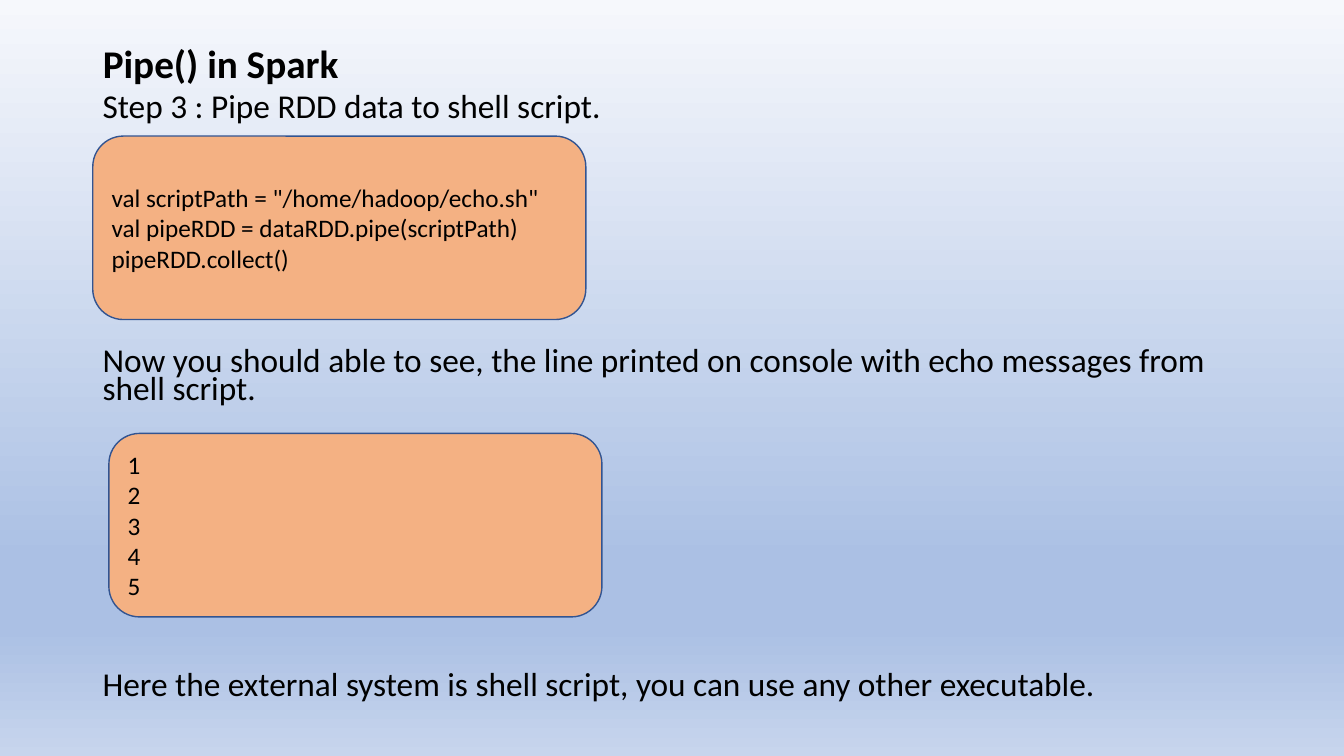
from pptx import Presentation
from pptx.dml.color import RGBColor
from pptx.enum.shapes import MSO_SHAPE
from pptx.enum.text import MSO_ANCHOR, PP_ALIGN
from pptx.oxml.ns import qn
from pptx.util import Inches, Pt
from lxml.etree import SubElement

# Content
TITLE = "Pipe() in Spark"
# text, space before in points
BODY = [
    ("Step 3 : Pipe RDD data to shell script.", 0),
    ("Now you should able to see, the line printed on console "
     "with echo messages from shell script.", 161.6),
    ("Here the external system is shell script, "
     "you can use any other executable.", 191.9),
]
# left, top, lines
PANELS = [
    (0.92, 1.35, ['val scriptPath = "/home/hadoop/echo.sh"',
                  "val pipeRDD = dataRDD.pipe(scriptPath)",
                  "pipeRDD.collect()"]),
    (1.08, 4.3, ["1", "2", "3", "4", "5"]),
]
# percent, colour
STOPS = [(0, "F6F8FC"), (74, "ABC0E4"), (83, "ABC0E4"), (100, "C7D5ED")]


def color(code):
    return RGBColor.from_string(code)


def style(para, size, bold=False):
    para.alignment = PP_ALIGN.LEFT
    font = para.font
    font.name, font.size, font.bold = "Calibri", Pt(size), bold
    font.color.rgb = color("000000")


deck = Presentation()
deck.slide_width, deck.slide_height = Inches(13.33), Inches(7.5)
slide = deck.slides.add_slide(deck.slide_layouts[5])

# Background gradient, top to bottom
fill = slide.background.fill
fill.gradient()
fill.gradient_angle = 270
stops = next(slide.element.iter(qn("a:gsLst")))
for old in list(stops):
    stops.remove(old)
for pct, code in STOPS:
    stop = SubElement(stops, qn("a:gs"), pos=str(pct * 1000))
    SubElement(stop, qn("a:srgbClr"), val=code)

# Title
title = slide.shapes.title
title.left, title.top = Inches(0.92), Inches(0.4)
title.width, title.height = Inches(11.5), Inches(0.5)
title.text_frame.text = TITLE
title.text_frame.vertical_anchor = MSO_ANCHOR.MIDDLE
para = title.text_frame.paragraphs[0]
style(para, 28, True)
para.line_spacing = 0.9

# Body text
body = slide.shapes.add_textbox(
    Inches(0.92), Inches(0.9), Inches(11.5), Inches(6.34)).text_frame
body.word_wrap = True
body.text = "\n".join(text for text, gap in BODY)
for para, (text, gap) in zip(body.paragraphs, BODY):
    style(para, 23.8)
    para.line_spacing = 0.7
    if gap:
        para.space_before = Pt(gap)

# Code and output panels
for left, top, lines in PANELS:
    panel = slide.shapes.add_shape(
        MSO_SHAPE.ROUNDED_RECTANGLE,
        Inches(left), Inches(top), Inches(4.89), Inches(1.82))
    panel.shadow.inherit = False
    panel.fill.solid()
    panel.fill.fore_color.rgb = color("F4B183")
    panel.line.color.rgb = color("325491")
    panel.line.width = Pt(1)
    frame = panel.text_frame
    frame.word_wrap = True
    frame.vertical_anchor = MSO_ANCHOR.MIDDLE
    frame.text = "\n".join(lines)
    for para in frame.paragraphs:
        style(para, 18)

deck.save("out.pptx")
